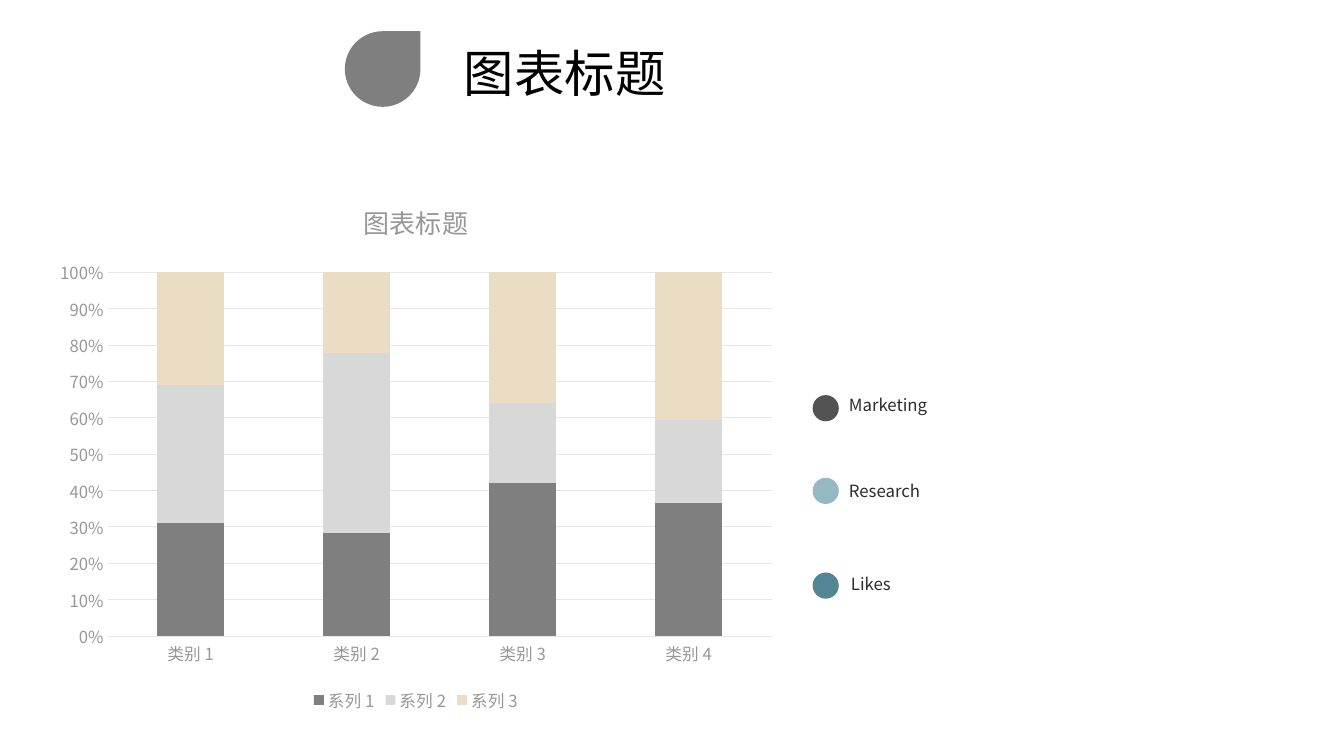
from lxml import etree
from pptx import Presentation
from pptx.chart.data import CategoryChartData
from pptx.dml.color import RGBColor
from pptx.enum.chart import XL_CHART_TYPE, XL_LEGEND_POSITION, XL_TICK_MARK
from pptx.enum.shapes import MSO_SHAPE
from pptx.enum.text import MSO_ANCHOR, PP_ALIGN
from pptx.oxml.ns import qn
from pptx.util import Inches, Pt

STACKED = XL_CHART_TYPE.COLUMN_STACKED_100
BOTTOM = XL_LEGEND_POSITION.BOTTOM
NO_TICK = XL_TICK_MARK.NONE
DROP, OVAL = MSO_SHAPE.TEAR, MSO_SHAPE.OVAL
MIDDLE, LEFT = MSO_ANCHOR.MIDDLE, PP_ALIGN.LEFT

FACE = "Noto Sans CJK SC"
BLACK = RGBColor(0x00, 0x00, 0x00)
INK = RGBColor(0x2C, 0x2C, 0x2C)
GRAY = RGBColor(0x7F, 0x7F, 0x7F)
SILVER = RGBColor(0xD8, 0xD8, 0xD8)
SAND = RGBColor(0xEB, 0xDD, 0xC3)
MUTED = RGBColor(0x97, 0x97, 0x97)
GRID = RGBColor(0xE7, 0xE7, 0xE7)
DARK = RGBColor(0x53, 0x53, 0x53)
SKY = RGBColor(0x95, 0xB8, 0xC3)
TEAL = RGBColor(0x54, 0x85, 0x94)


def style(font, size, color):
    font.size = Pt(size)
    font.bold = False
    font.color.rgb = color
    font.name = FACE
    # East Asian typeface follows the Latin one
    etree.SubElement(font._rPr, qn("a:ea")).set("typeface", FACE)


def add_mark(kind, left, top, size, color):
    mark = slide.shapes.add_shape(
        kind, Inches(left), Inches(top), Inches(size), Inches(size))
    mark.shadow.inherit = False
    mark.fill.solid()
    mark.fill.fore_color.rgb = color
    mark.line.fill.background()


deck = Presentation()
deck.slide_width, deck.slide_height = Inches(13.33), Inches(7.5)
slide = deck.slides.add_slide(deck.slide_layouts[5])
for item in list(slide.placeholders):
    if item.placeholder_format.idx != 0:
        item.element.getparent().remove(item.element)

# Title and its drop
title = slide.shapes.title
title.left, title.top = Inches(4.5), Inches(0.36)
title.width, title.height = Inches(6.58), Inches(0.71)
frame = title.text_frame
frame.vertical_anchor = MIDDLE
para = frame.paragraphs[0]
para.alignment = LEFT
run = para.add_run()
run.text = "图表标题"
style(run.font, 36, BLACK)
add_mark(DROP, 3.42, 0.31, 0.75, GRAY)

# Chart
data = CategoryChartData(number_format="0")
data.categories = [f"类别 {n}" for n in range(1, 5)]
series = [
    ("系列 1", (31, 28, 42, 37), GRAY),
    ("系列 2", (38, 49, 22, 23), SILVER),
    ("系列 3", (31, 22, 36, 41), SAND),
]
for name, values, color in series:
    data.add_series(name, values)
chart = slide.shapes.add_chart(
    STACKED, Inches(0.45), Inches(1.78), Inches(7.35), Inches(5.33), data).chart
style(chart.font, 11.9, MUTED)

chart.has_title = True
run = chart.chart_title.text_frame.paragraphs[0].add_run()
run.text = "图表标题"
style(run.font, 18.6, MUTED)
chart.chart_title.include_in_layout = False

chart.has_legend = True
chart.legend.position = BOTTOM
chart.legend.include_in_layout = False
style(chart.legend.font, 11.9, MUTED)

plot = chart.plots[0]
plot.gap_width, plot.overlap = 150, 100
plot.vary_by_categories = False
for bars, (name, values, color) in zip(plot.series, series):
    bars.format.fill.solid()
    bars.format.fill.fore_color.rgb = color

# Axes
cats, vals = chart.category_axis, chart.value_axis
for axis in (cats, vals):
    axis.major_tick_mark = axis.minor_tick_mark = NO_TICK
    style(axis.tick_labels.font, 11.9, MUTED)
vals.minimum_scale, vals.maximum_scale, vals.major_unit = 0, 1, 0.1
vals.tick_labels.number_format = "0%"
vals.tick_labels.number_format_is_linked = False
vals.format.line.fill.background()
vals.has_major_gridlines = True
for line in (cats.format.line, vals.major_gridlines.format.line):
    line.color.rgb = GRID
    line.width = Pt(0.75)

# Side key: dots with labels
for word, dot_top, left, top, color in (
    ("Marketing", 3.92, 8.42, 3.92, DARK),
    ("Research", 4.74, 8.42, 4.77, SKY),
    ("Likes", 5.68, 8.44, 5.69, TEAL),
):
    add_mark(OVAL, 8.06, dot_top, 0.26, color)
    box = slide.shapes.add_textbox(
        Inches(left), Inches(top), Inches(2.59), Inches(0.2))
    frame = box.text_frame
    frame.word_wrap = True
    frame.margin_left = frame.margin_right = 0
    frame.margin_top = frame.margin_bottom = 0
    run = frame.paragraphs[0].add_run()
    run.text = word
    style(run.font, 12, INK)

deck.save("out.pptx")
